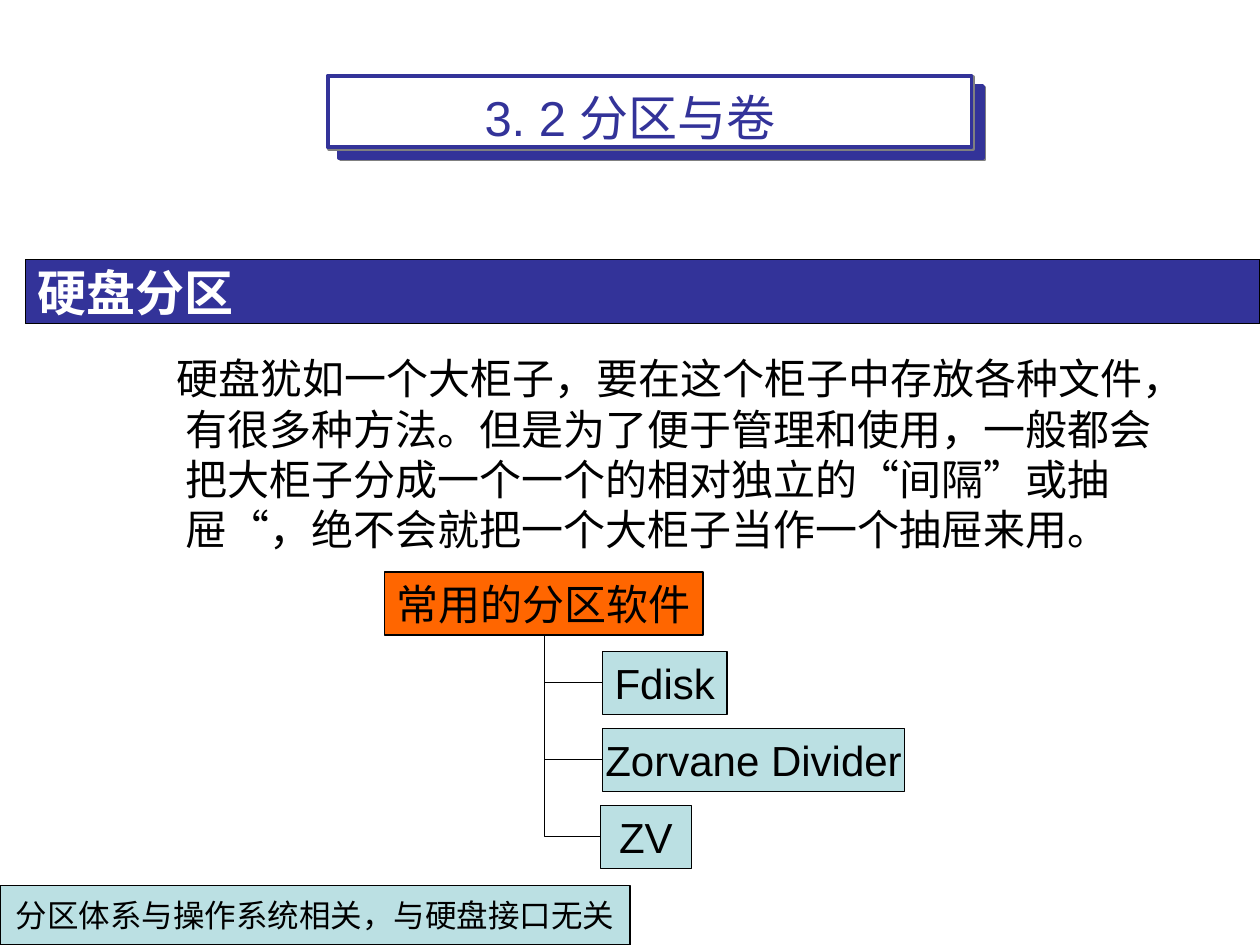
from lxml.etree import SubElement
from pptx import Presentation
from pptx.dml.color import RGBColor
from pptx.enum.shapes import MSO_CONNECTOR as Connector, MSO_SHAPE as Shape
from pptx.enum.text import MSO_ANCHOR as Anchor, PP_ALIGN as Align
from pptx.oxml.ns import qn
from pptx.util import Pt

NAVY, PALE, ORANGE = "333399", "BBE0E3", "FF6600"
BLACK, WHITE, GRAY = "000000", "FFFFFF", "808080"


def color(value):
    return RGBColor.from_string(value)


def write(box, spans, size=24, ink=BLACK, bold=False, align=Align.CENTER,
          anchor=Anchor.TOP, wrap=False):
    frame = box.text_frame
    frame.word_wrap = wrap
    frame.vertical_anchor = anchor
    para = frame.paragraphs[0]
    para.alignment = align
    for text, font in spans:
        span = para.add_run()
        span.text = text
        span.font.name = font
        span.font.size = Pt(size)
        span.font.bold = bold
        span.font.color.rgb = color(ink)
    return para


deck = Presentation()
deck.slide_width, deck.slide_height = Pt(720), Pt(540)
page = deck.slides.add_slide(deck.slide_layouts[6])

title_frame = page.shapes.add_group_shape()
for left, top, fill in [(193.7, 49.2, NAVY), (187.2, 43.2, WHITE)]:
    panel = title_frame.shapes.add_shape(
        Shape.RECTANGLE, Pt(left), Pt(top), Pt(368), Pt(41))
    panel.fill.solid()
    panel.fill.fore_color.rgb = color(fill)
    panel.line.color.rgb = color(NAVY)
    panel.line.width = Pt(2.25)
    panel.shadow.inherit = False
    effects = panel._element.spPr.find(qn("a:effectLst"))
    shadow = SubElement(effects, qn("a:outerShdw"), dist=str(Pt(1.4)),
                        dir="2700000", algn="ctr", rotWithShape="0")
    SubElement(shadow, qn("a:srgbClr"), val=GRAY)

title = page.shapes.add_textbox(Pt(36), Pt(21.6), Pt(648), Pt(90))
write(title, [("3. 2 分区与卷", "Arial")], size=28, ink=NAVY,
      anchor=Anchor.MIDDLE, wrap=True)

body = page.shapes.add_textbox(Pt(72), Pt(198), Pt(612), Pt(324))
para = write(body, [
    ("硬盘犹如一个大柜子，要在这个柜子中存放各种文件，有很多种方法。"
     "但是为了便于管理和使用，一般都会把大柜子分成一个一个的相对独立的", "Arial"),
    ("“", "Comic Neue"),
    ("间隔", "Arial"),
    ("”", "Comic Neue"),
    ("或抽屉", "Arial"),
    ("“", "Comic Neue"),
    ("，绝不会就把一个大柜子当作一个抽屉来用。", "Arial"),
], align=Align.LEFT, wrap=True)
para._p.get_or_add_pPr().set("marL", str(Pt(27)))
para._p.get_or_add_pPr().set("indent", str(Pt(-5)))

heading = dict(size=28, ink=WHITE, bold=True, align=Align.LEFT, anchor=Anchor.MIDDLE)
footer = dict(size=18, anchor=Anchor.MIDDLE)
tools = [("Fdisk", 344.2, 71.3), ("Zorvane Divider", 344.2, 172.8), ("ZV", 343.2, 51.8)]
first_top, pitch, height = 372.2, 44, 36
labels = [
    ("硬盘分区", 14.4, 148.3, 705.6, 36.7, NAVY, heading),
    ("常用的分区软件", 219.6, 326.9, 182.2, height, ORANGE, {}),
    ("分区体系与操作系统相关，与硬盘接口无关", 0, 506, 360, 34, PALE, footer),
]
labels += [(name, left, first_top + row * pitch, width, height, PALE, {})
           for row, (name, left, width) in enumerate(tools)]
for text, left, top, width, tall, fill, style in labels:
    box = page.shapes.add_shape(
        Shape.RECTANGLE, Pt(left), Pt(top), Pt(width), Pt(tall))
    box.shadow.inherit = False
    box.fill.solid()
    box.fill.fore_color.rgb = color(fill)
    box.line.color.rgb = color(BLACK)
    box.line.width = Pt(0.75)
    write(box, [(text, "Arial")], **style)

trunk_x, trunk_top = 311, 363.5
for row, (name, tool_left, width) in enumerate(tools):
    run = tool_left - trunk_x
    drop = first_top + row * pitch + height / 2 - trunk_top
    middle_x, middle_y = trunk_x + run / 2, trunk_top + drop / 2
    branch = page.shapes.add_connector(
        Connector.ELBOW, Pt(middle_x + drop / 2), Pt(middle_y - run / 2),
        Pt(middle_x - drop / 2), Pt(middle_y + run / 2))
    branch.line.color.rgb = color(BLACK)
    branch.line.width = Pt(0.75)
    properties = branch._element.spPr
    properties.find(qn("a:xfrm")).set("rot", "16200000")
    properties.find(qn("a:prstGeom")).set("prst", "bentConnector2")
    SubElement(properties, qn("a:effectLst"))

deck.save("out.pptx")
